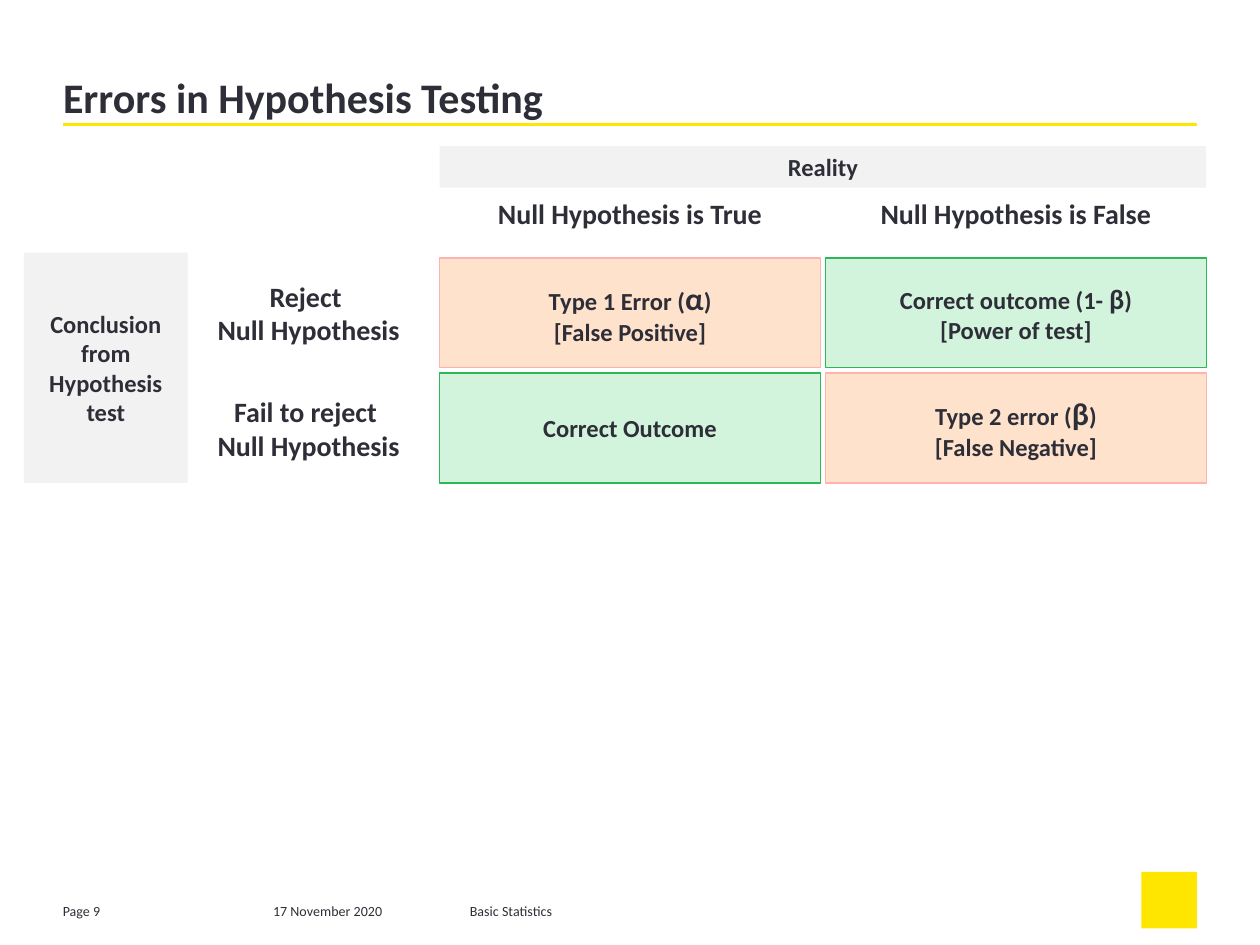
from lxml import etree
from pptx import Presentation
from pptx.dml.color import RGBColor
from pptx.enum import shapes, text
from pptx.oxml.ns import qn
from pptx.util import Pt

COLORS = {
    "ink": "2E2E38", "accent": "FFE600", "band": "F2F2F2",
    "error": "FFE2CC", "error_edge": "FFB3AF",
    "correct": "D2F4DC", "correct_edge": "2DB757",
}

TITLE = "Errors in Hypothesis Testing"
REALITY = "Reality"
CONCLUSION = "Conclusion from Hypothesis test"
REALITIES = ["Null Hypothesis is True", "Null Hypothesis is False"]
DECISIONS = [["Reject ", "Null Hypothesis"], ["Fail to reject ", "Null Hypothesis"]]
# Each line is a string, or a list of (words, size) runs.
OUTCOMES = [
    [("error", [[("Type 1 Error (", 14), ("α", 18), (")", 14)], "[False Positive]"]),
     ("correct", [[("Correct outcome (1- ", 14), ("β", 16), (")", 14)], "[Power of test]"])],
    [("correct", ["Correct Outcome"]),
     ("error", [[("Type 2 error (", 14), ("β", 18), (")", 14)], "[False Negative]"])],
]
FOOTER = [("Page 9", 28.8, 52.6), ("17 November 2020", 149, 93.6),
          ("Basic Statistics", 261.4, 243.4)]

GRID_LEFT, GRID_TOP = 251.3, 147.4
CELL_W, CELL_H, GAP = 217.5, 62.8, 3
GRID_W, GRID_H = 2 * CELL_W + GAP, 2 * CELL_H + GAP
DECISION_LEFT, DECISION_W = 104.4, 144


def color(name):
    return RGBColor.from_string(COLORS[name])


def write(shape, lines, size=14, bold=True, align=text.PP_ALIGN.CENTER,
          anchor=text.MSO_ANCHOR.MIDDLE, spacing=None):
    frame = shape.text_frame
    frame.word_wrap = True
    frame.auto_size = text.MSO_AUTO_SIZE.NONE
    frame.vertical_anchor = anchor
    for i, line in enumerate(lines):
        paragraph = frame.add_paragraph() if i else frame.paragraphs[0]
        paragraph.alignment = align
        paragraph.line_spacing = spacing
        for words, points in [(line, size)] if isinstance(line, str) else line:
            run = paragraph.add_run()
            run.text = words
            run.font.name = "Calibri"
            run.font.size = Pt(points)
            run.font.bold = bold
            run.font.color.rgb = color("ink")


def add_box(slide, box, fill, edge=None):
    panel = slide.shapes.add_shape(shapes.MSO_SHAPE.RECTANGLE, *map(Pt, box))
    panel.shadow.inherit = False
    panel.fill.solid()
    panel.fill.fore_color.rgb = color(fill)
    if edge:
        panel.line.color.rgb = color(edge)
        panel.line.width = Pt(0.75)
    else:
        panel.line.fill.background()
    return panel


def add_label(slide, box, lines, **style):
    write(slide.shapes.add_textbox(*map(Pt, box)), lines, **style)


def add_heading(slide):
    title = slide.shapes.title
    title.left, title.top, title.width, title.height = map(Pt, (36, 20, 648, 50))
    frame = title.text_frame
    frame.margin_left = frame.margin_right = frame.margin_top = frame.margin_bottom = 0
    write(title, [TITLE], size=24, align=text.PP_ALIGN.LEFT,
          anchor=text.MSO_ANCHOR.BOTTOM, spacing=0.85)
    rule = slide.shapes.add_connector(
        shapes.MSO_CONNECTOR.STRAIGHT, *map(Pt, (36, 71.3, 684, 71.3)))
    rule.line.color.rgb = color("accent")
    rule.line.width = Pt(1.5)
    etree.SubElement(rule._element.spPr, qn("a:effectLst"))


def add_matrix(slide):
    write(add_box(slide, (GRID_LEFT, 83.5, GRID_W, 23.8), "band"), [REALITY])
    write(add_box(slide, (13.7, GRID_TOP - GAP, 93.6, GRID_H + GAP), "band"),
          [CONCLUSION])
    lefts = [GRID_LEFT + i * (CELL_W + GAP) for i in range(2)]
    for left, reality in zip(lefts, REALITIES):
        add_label(slide, (left, 99.4, CELL_W, 45.4), [reality], size=16)
    for row, (decision, outcomes) in enumerate(zip(DECISIONS, OUTCOMES)):
        top = GRID_TOP + row * (CELL_H + GAP)
        add_label(slide, (DECISION_LEFT, top, DECISION_W, CELL_H), decision, size=16)
        for left, (verdict, lines) in zip(lefts, outcomes):
            cell = add_box(slide, (left, top, CELL_W, CELL_H), verdict, verdict + "_edge")
            write(cell, lines)


def add_footer(slide):
    for words, left, width in FOOTER:
        add_label(slide, (left, 513.4, width, 14.4), [words], size=8, bold=False,
                  align=text.PP_ALIGN.LEFT)
    add_box(slide, (652.3, 498.2, 31.7, 32.4), "accent")


def main():
    deck = Presentation()
    deck.slide_width, deck.slide_height = Pt(720), Pt(540)
    slide = deck.slides.add_slide(deck.slide_layouts[5])
    add_heading(slide)
    add_matrix(slide)
    add_footer(slide)
    deck.save("out.pptx")


if __name__ == "__main__":
    main()
